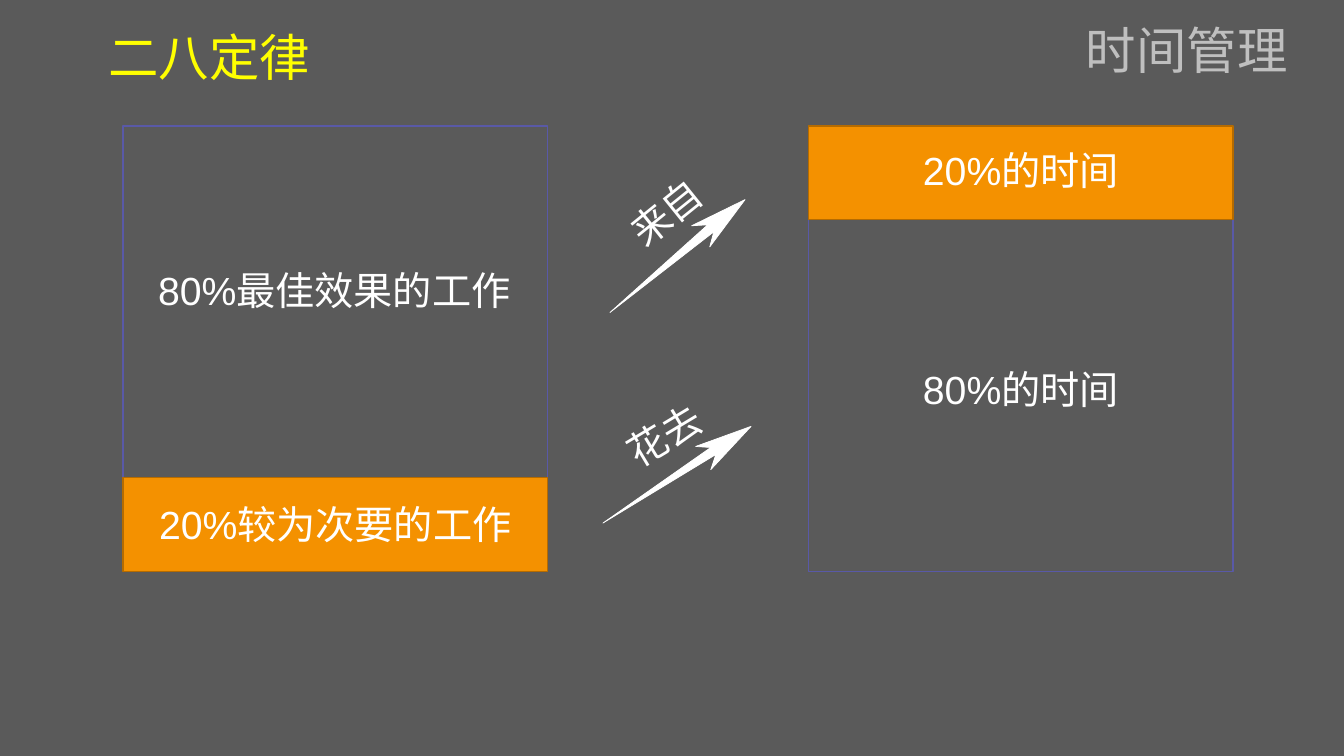
from lxml.etree import SubElement
from pptx import Presentation
from pptx.dml.color import RGBColor
from pptx.enum.shapes import MSO_SHAPE as Shape
from pptx.enum.text import MSO_ANCHOR as Anchor, PP_ALIGN as Align
from pptx.oxml.ns import qn
from pptx.util import Inches, Pt

GRAY = RGBColor(0x5A, 0x5A, 0x5A)
ORANGE = RGBColor(0xF4, 0x91, 0x00)
BROWN = RGBColor(0xB5, 0x6B, 0x00)
VIOLET = RGBColor(0x59, 0x59, 0xA7)
WHITE = RGBColor(0xFF, 0xFF, 0xFF)
SILVER = RGBColor(0xBF, 0xBF, 0xBF)
YELLOW = RGBColor(0xFF, 0xFF, 0x00)
CJK_FONT = "Noto Sans CJK SC"


def paint(shape, fill, line, width):
    shape.shadow.inherit = False
    shape.fill.solid()
    shape.fill.fore_color.rgb = fill
    shape.line.color.rgb = line
    shape.line.width = Pt(width)


def add_label(text, box, size=28, color=WHITE, font="Arial", spacing=0.9, rotation=0):
    label = slide.shapes.add_textbox(*map(Inches, box))
    label.rotation = rotation
    frame = label.text_frame
    frame_format = {"word_wrap": True, "vertical_anchor": Anchor.MIDDLE,
                    "margin_top": 0, "margin_bottom": 0}
    for name, value in frame_format.items():
        setattr(frame, name, value)
    paragraph = frame.paragraphs[0]
    paragraph_format = {"alignment": Align.CENTER, "line_spacing": spacing,
                        "space_before": Pt(10)}
    for name, value in paragraph_format.items():
        setattr(paragraph, name, value)
    run = paragraph.add_run()
    run.text = text
    run.font.name = font
    run.font.size = Pt(size)
    run.font.color.rgb = color
    SubElement(run.font._element, qn("a:ea"), typeface=CJK_FONT)


deck = Presentation()
deck.slide_width, deck.slide_height = Inches(13.33), Inches(7.5)
slide = deck.slides.add_slide(deck.slide_layouts[6])
slide.background.fill.solid()
slide.background.fill.fore_color.rgb = GRAY

# Two columns, each split into a large and a small share
COLUMN_TOP, COLUMN_WIDTH = 1.25, 4.21
LARGE, SMALL = 3.49, 0.93
WORK_LEFT, TIME_LEFT = 1.22, 8.02
shares = [
    (WORK_LEFT, COLUMN_TOP, LARGE, GRAY, VIOLET),
    (WORK_LEFT, COLUMN_TOP + LARGE, SMALL, ORANGE, BROWN),
    (TIME_LEFT, COLUMN_TOP + SMALL, LARGE, GRAY, VIOLET),
    (TIME_LEFT, COLUMN_TOP, SMALL, ORANGE, BROWN),
]
for left, top, height, fill, line in shares:
    share = slide.shapes.add_shape(Shape.RECTANGLE, Inches(left), Inches(top),
                                   Inches(COLUMN_WIDTH), Inches(height))
    paint(share, fill, line, 1)

add_label("时间管理", (10.46, 0.2, 2.62, 0.65), 36, SILVER, CJK_FONT)
add_label("二八定律", (0.31, 0.2, 3.53, 0.86), 36, YELLOW, spacing=0.7)

share_labels = [
    ("80%最佳效果的工作", (1.22, 2.08, 4.19, 1.65)),
    ("80%的时间", (8.27, 3.06, 3.71, 1.65)),
    ("20%的时间", (8.27, 1.38, 3.71, 0.66)),
    ("20%较为次要的工作", (1.23, 4.74, 4.19, 0.97)),
]
for text, box in share_labels:
    add_label(text, box)

# Tapered arrows from work to time
arrows = [
    [(6.86, 2.24), (7.39, 1.98), (7.04, 2.45), (7.08, 2.3), (6.05, 3.1), (7.02, 2.23)],
    [(6.9, 4.43), (7.45, 4.23), (7.05, 4.66), (7.1, 4.51), (5.98, 5.19), (7.05, 4.44)],
]
for outline in arrows:
    start, *corners = [(Inches(x), Inches(y)) for x, y in outline]
    builder = slide.shapes.build_freeform(*start)
    builder.add_line_segments(corners, close=True)
    paint(builder.convert_to_shape(), WHITE, WHITE, 0.5)

add_label("来自", (5.37, 1.76, 2.51, 0.73), rotation=321)
add_label("花去", (5.35, 3.98, 2.51, 0.73), rotation=329)

deck.save("out.pptx")
